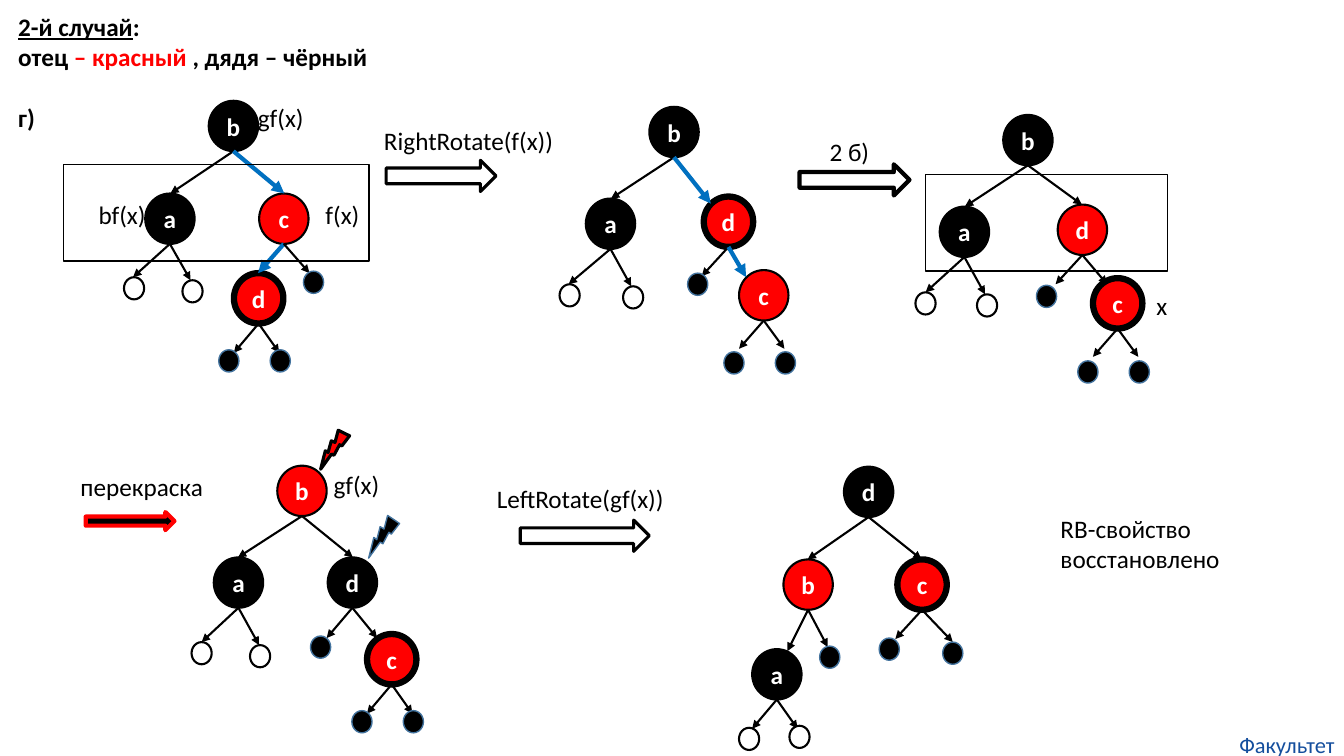
from lxml import etree
from pptx import Presentation
from pptx.dml.color import RGBColor
from pptx.enum import shapes, text
from pptx.oxml import ns
from pptx.util import Inches, Pt

BLACK, RED, WHITE, BLUE, RIM = "000000", "FF0000", "FFFFFF", "0070C0", "43739E"
THIN, BOLD, PATH = 1.5, 4.5, 3
NODE, LEAF = (0.49, 0.5), (0.2, 0.22)
SHAPE = shapes.MSO_SHAPE

HEADING = [
    [("2-й случай", BLACK, True), (": ", BLACK, False)],
    [("отец", BLACK, False), (" – красный ", RED, False), (", дядя – чёрный ", BLACK, False)],
    [("г)", BLACK, False)],
]

# NODE_FIELDS
TREES = [
    {"nodes": [("b", 2.07, 1, BLACK, THIN, [(1.69, 1.92), (2.82, 1.92, BLUE)]),
               ("a", 1.44, 1.92, BLACK, THIN, [(1.32, 2.75), (1.89, 2.78)]),
               ("c", 2.57, 1.92, RED, THIN, [(2.56, 2.71, BLUE), (3.07, 2.71)]),
               ("d", 2.32, 2.71, RED, BOLD, [(2.32, 3.5), (2.77, 3.5)])],
     "hollow": [(1.23, 2.75), (1.81, 2.78)],
     "solid": [(3.01, 2.69), (2.17, 3.47), (2.68, 3.47)]},
    {"nodes": [("b", 6.44, 1.06, BLACK, THIN, [(6.06, 1.97), (7.05, 2.02, BLUE)]),
               ("a", 5.81, 1.97, BLACK, THIN, [(5.64, 2.82), (6.26, 2.84)]),
               ("d", 6.98, 1.95, RED, BOLD, [(6.96, 2.74), (7.4, 2.75, BLUE)]),
               ("c", 7.33, 2.68, RED, THIN, [(7.33, 3.46), (7.78, 3.46)])],
     "hollow": [(5.55, 2.82), (6.18, 2.84)],
     "solid": [(6.82, 2.71), (7.18, 3.49), (7.69, 3.49)]},
    {"nodes": [("b", 9.95, 1.14, BLACK, THIN, [(9.57, 2.05), (10.73, 2.03)]),
               ("a", 9.32, 2.05, BLACK, THIN, [(9.18, 2.9), (9.77, 2.92)]),
               ("d", 10.49, 2.03, RED, THIN, [(10.47, 2.82), (10.98, 2.82)]),
               ("c", 10.84, 2.76, RED, BOLD, [(10.84, 3.54), (11.29, 3.54)])],
     "hollow": [(9.08, 2.9), (9.69, 2.92)],
     "solid": [(10.28, 2.83), (10.69, 3.58), (11.2, 3.58)]},
    {"nodes": [("b", 2.75, 4.62, RED, THIN, [(2.36, 5.53), (3.5, 5.53)]),
               ("a", 2.12, 5.53, BLACK, THIN, [(2, 6.37), (2.57, 6.4)]),
               ("d", 3.25, 5.53, BLACK, THIN, [(3.24, 6.33), (3.74, 6.33)]),
               ("с", 3.64, 6.29, RED, BOLD, [(3.64, 7.08), (4.09, 7.08)])],
     "hollow": [(1.9, 6.37), (2.48, 6.4)],
     "solid": [(3.08, 6.31), (3.49, 7.05), (4, 7.05)]},
    {"nodes": [("d", 8.37, 4.63, BLACK, THIN, [(8.01, 5.55), (9.14, 5.55)]),
               ("b", 7.77, 5.55, RED, THIN, [(7.81, 6.46), (8.21, 6.42)]),
               ("c", 8.9, 5.55, RED, BOLD, [(8.88, 6.34), (9.45, 6.37)]),
               ("a", 7.46, 6.44, BLACK, THIN, [(7.46, 7.23), (7.91, 7.23)])],
     "hollow": [(7.33, 7.22), (7.83, 7.2)],
     "solid": [(8.72, 6.33), (8.13, 6.41), (9.35, 6.37)]},
]

MARKS = [
    (SHAPE.RIGHT_ARROW, (3.83, 1.59, 1.09, 0.31), None, BLACK, 2.25, 0),
    (SHAPE.RIGHT_ARROW, (7.93, 1.63, 1.09, 0.31), None, BLACK, 3, 0),
    (SHAPE.RIGHT_ARROW, (5.16, 5.16, 1.28, 0.31), None, BLACK, 2.25, 0),
    (SHAPE.RIGHT_ARROW, (0.85, 5.08, 0.88, 0.18), BLACK, RED, 3, 0),
    (SHAPE.LIGHTNING_BOLT, (3.17, 4.24, 0.26, 0.41), RED, BLACK, 2.25, 62),
    (SHAPE.LIGHTNING_BOLT, (3.63, 5.1, 0.31, 0.42), BLACK, RIM, 1, 65.9),
    (SHAPE.RECTANGLE, (0.63, 1.63, 3.03, 0.96), None, BLACK, 1, 0),
    (SHAPE.RECTANGLE, (9.18, 1.73, 2.4, 0.96), None, BLACK, 1, 0),
]

LABELS = [
    ("gf(x)", 2.46, 0.97, 0.66, 0.4),
    ("f(x)", 3.13, 1.93, 0.54, 0.4),
    ("bf(x)", 0.88, 1.93, 0.67, 0.4),
    ("RightRotate(f(x))", 3.71, 1.19, 1.98, 0.4),
    ("2 б)", 8.13, 1.3, 0.6, 0.4),
    ("x", 11.37, 2.83, 0.31, 0.4),
    ("перекраска", 0.7, 4.63, 1.43, 0.4),
    ("gf(x)", 3.21, 4.61, 0.66, 0.4),
    ("LeftRotate(gf(x))", 4.83, 4.75, 1.94, 0.71),
    ("RB-свойство\nвосстановлено", 10.42, 5.04, 1.8, 0.71),
]
FOOTER = ("Факультет", 12.2, 7.25, 1.13, 0.27)


def rgb(color):
    return RGBColor.from_string(color)


def style(r, color, size=18, bold=False):
    r.font.name, r.font.size, r.font.bold = "Calibri", Pt(size), bold
    r.font.color.rgb = rgb(color)


def no_insets(tf):
    tf.margin_left = tf.margin_right = tf.margin_top = tf.margin_bottom = 0


def add_mark(kind, box, fill, line, width, rotation=0):
    sp = s.shapes.add_shape(kind, *map(Inches, box))
    sp.shadow.inherit = False
    sp.rotation = rotation
    if fill:
        sp.fill.solid()
        sp.fill.fore_color.rgb = rgb(fill)
    else:
        sp.fill.background()
    sp.line.color.rgb = rgb(line)
    sp.line.width = Pt(width)
    return sp


def add_node(name, x, y, fill, ring):
    tf = add_mark(SHAPE.OVAL, (x, y, *NODE), fill, BLACK, ring).text_frame
    no_insets(tf)
    tf.word_wrap = False
    tf.vertical_anchor = text.MSO_ANCHOR.MIDDLE
    p = tf.paragraphs[0]
    p.text = name
    p.alignment = text.PP_ALIGN.CENTER
    style(p.runs[0], WHITE, bold=True)


def add_edge(start, end, color=BLACK):
    ln = s.shapes.add_connector(shapes.MSO_CONNECTOR.STRAIGHT, *map(Inches, (*start, *end)))
    ln.line.color.rgb = rgb(color)
    ln.line.width = Pt(PATH if color == BLUE else THIN)
    etree.SubElement(ln.line._get_or_add_ln(), ns.qn("a:tailEnd"), type="triangle")
    etree.SubElement(ln._element.spPr, ns.qn("a:effectLst"))


def add_label(words, x, y, w, h, color=BLACK, size=18):
    tf = s.shapes.add_textbox(*map(Inches, (x, y, w, h))).text_frame
    tf.text = words
    for p in tf.paragraphs:
        style(p.runs[0], color, size)
    return tf


prs = Presentation()
prs.slide_width, prs.slide_height = Inches(13.33), Inches(7.5)
s = prs.slides.add_slide(prs.slide_layouts[5])

title = s.shapes.title
title.left, title.top, title.width, title.height = map(Inches, (0.08, 0.06, 3.75, 1.31))
tf = title.text_frame
tf.word_wrap = True
tf.auto_size = text.MSO_AUTO_SIZE.NONE
tf.vertical_anchor = text.MSO_ANCHOR.TOP
for i, parts in enumerate(HEADING):
    p = tf.paragraphs[0] if i == 0 else tf.add_paragraph()
    p.alignment = text.PP_ALIGN.LEFT
    for words, color, underline in parts:
        r = p.add_run()
        r.text = words
        style(r, color, bold=True)
        r.font.underline = underline
tf.paragraphs[-1].space_before = Pt(22)

for tree in TREES:
    for *node, ends in tree["nodes"]:
        add_node(*node)
    for name, x, y, fill, ring, ends in tree["nodes"]:
        for end_x, end_y, *color in ends:
            add_edge((x + NODE[0] / 2, y + NODE[1]), (end_x, end_y), *color)
    for kind, fill, line, width in (("hollow", WHITE, BLACK, THIN), ("solid", BLACK, RIM, 1)):
        for spot in tree[kind]:
            add_mark(SHAPE.OVAL, (*spot, *LEAF), fill, line, width)

for mark in MARKS:
    add_mark(*mark)
for label in LABELS:
    add_label(*label)

tf = add_label(*FOOTER, color="144E9D", size=16)
no_insets(tf)
tf.word_wrap = True
tf.paragraphs[0].alignment = text.PP_ALIGN.CENTER

prs.save("out.pptx")
